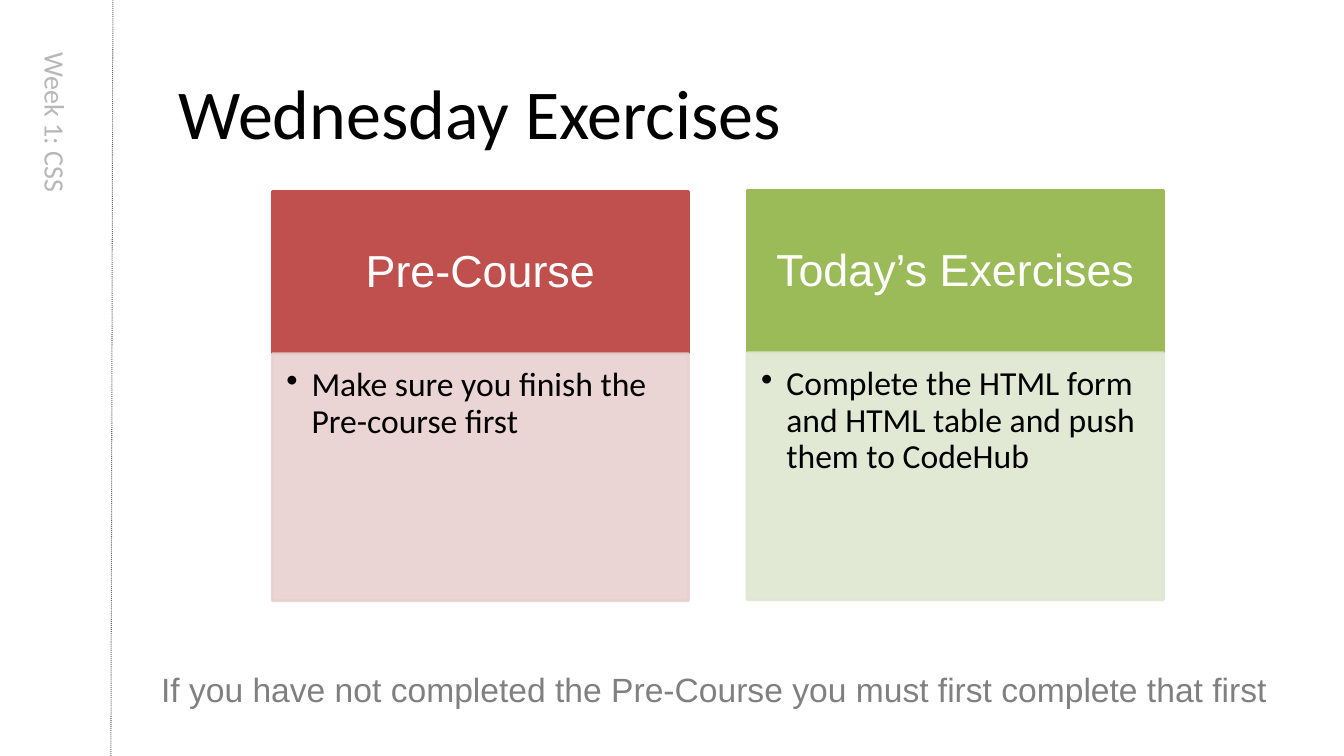
"""Build the Wednesday Exercises slide."""
from lxml import etree
from pptx import Presentation
from pptx import util as u
from pptx.dml.color import RGBColor
from pptx.enum import dml, shapes, text
from pptx.oxml import ns

BLACK = RGBColor(0x00, 0x00, 0x00)
WHITE = RGBColor(0xFF, 0xFF, 0xFF)
PALE = RGBColor(0xB7, 0xB7, 0xB7)
GREY = RGBColor(0x80, 0x80, 0x80)
DARK = RGBColor(0x66, 0x66, 0x66)
RED = RGBColor(0xC0, 0x50, 0x4D)
PINK = RGBColor(0xE8, 0xD0, 0xD0)
GREEN = RGBColor(0x9B, 0xBB, 0x59)
MINT = RGBColor(0xDE, 0xE7, 0xD1)

LABELS = [
    ("Week 1: CSS", (-1.65, 2.55, 4.4, 0.34), 90, (0, 0, 0, 0),
     dict(size=u.Pt(20), name="Calibri", color=PALE)),
    ("Wednesday Exercises", (1.67, 0.64, 11.29, 0.94), 0, (0.1, 0.05, 0.1, 0.05),
     dict(size=u.Pt(50), name="Calibri", color=BLACK)),
    ("If you have not completed the Pre-Course you must first complete that first",
     (1.5, 6.59, 11.24, 0.5), 0, (0.1, 0.05, 0.1, 0.05),
     dict(size=u.Pt(24), name="Arial", color=GREY)),
]
CARDS = [
    ("Pre-Course", "Make sure you finish the Pre-course first",
     2.7, 1.9, RED, PINK),
    ("Today’s Exercises", "Complete the HTML form and HTML table and push them to CodeHub",
     7.41, 1.89, GREEN, MINT),
]
WIDTH, HEAD, BODY = 4.13, 1.61, 2.45
HEAD_FONT = dict(size=u.Pt(32), name="Arial", color=WHITE)
BODY_FONT = dict(size=u.Pt(24), name="Calibri", color=BLACK)
HEAD_PAD = (0.25, 0.14, 0.25, 0.14)
BODY_PAD = (0.14, 0.14, 0.19, 0.21)


def style(font, look):
    for key, val in look.items():
        if key == "color":
            font.color.rgb = val
        else:
            setattr(font, key, val)


def write(shape, words, pad, look):
    frame = shape.text_frame
    frame.word_wrap = True
    for side, val in zip(("left", "top", "right", "bottom"), pad):
        setattr(frame, "margin_" + side, u.Inches(val))
    para = frame.paragraphs[0]
    run = para.add_run()
    run.text = words
    style(run.font, look)
    return para


def panel(slide, box, color):
    rect = slide.shapes.add_shape(shapes.MSO_SHAPE.RECTANGLE, *map(u.Inches, box))
    rect.shadow.inherit = False
    rect.fill.solid()
    rect.fill.fore_color.rgb = color
    rect.line.color.rgb = color
    rect.line.width = u.Pt(2)
    return rect


def fade(shape, amount):
    for tone in shape.element.spPr.iter(ns.qn("a:srgbClr")):
        etree.SubElement(tone, ns.qn("a:alpha"), val=str(amount * 1000))


def bullet(para):
    props = para._p.get_or_add_pPr()
    props.set("marL", str(u.Inches(0.25)))
    props.set("indent", str(u.Inches(-0.25)))
    tint = etree.SubElement(props, ns.qn("a:buClr"))
    etree.SubElement(tint, ns.qn("a:srgbClr"), val=str(BLACK))
    etree.SubElement(props, ns.qn("a:buChar"), char="•")


def card(slide, title, task, left, top, deep, light):
    head = panel(slide, (left, top, WIDTH, HEAD), deep)
    para = write(head, title, HEAD_PAD, HEAD_FONT)
    head.text_frame.vertical_anchor = text.MSO_ANCHOR.MIDDLE
    para.alignment = text.PP_ALIGN.CENTER
    para.line_spacing = 0.9
    body = panel(slide, (left, top + HEAD, WIDTH, BODY), light)
    fade(body, 90)
    para = write(body, task, BODY_PAD, BODY_FONT)
    body.text_frame.vertical_anchor = text.MSO_ANCHOR.TOP
    bullet(para)
    para.alignment = text.PP_ALIGN.LEFT
    para.line_spacing = 0.9


def main():
    deck = Presentation()
    deck.slide_width, deck.slide_height = u.Inches(13.33), u.Inches(7.5)
    slide = deck.slides.add_slide(deck.slide_layouts[6])
    rule = slide.shapes.add_connector(
        shapes.MSO_CONNECTOR.STRAIGHT, *map(u.Inches, (1.1, 7.5, 1.12, 0)))
    rule.line.color.rgb = DARK
    rule.line.width = u.Pt(0.75)
    rule.line.dash_style = dml.MSO_LINE.ROUND_DOT
    etree.SubElement(rule.element.spPr, ns.qn("a:effectLst"))
    for words, box, turn, pad, look in LABELS:
        label = slide.shapes.add_textbox(*map(u.Inches, box))
        label.rotation = turn
        write(label, words, pad, look)
    for item in CARDS:
        card(slide, *item)
    deck.save("out.pptx")


if __name__ == "__main__":
    main()
